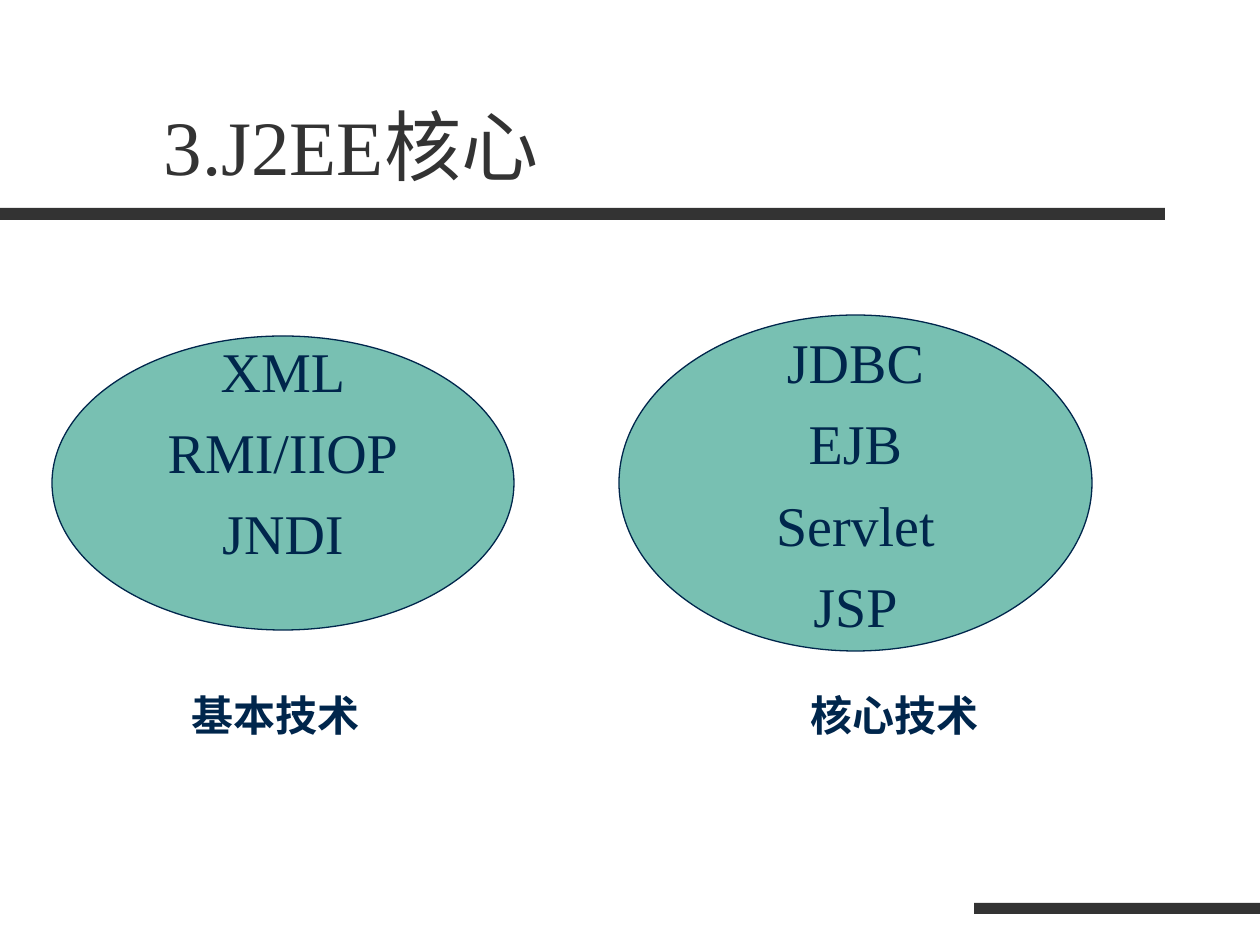
from pptx import Presentation
from pptx import util as u
from pptx.dml.color import RGBColor
from pptx.enum import shapes, text

TITLE = ("3.J2EE核心", (151, 39, 1071, 158))
BARS = [(0, 208, 1165, 12), (974, 903, 286, 11)]
GROUPS = [
    {
        "technologies": ["XML", "RMI/IIOP", "JNDI"],
        "oval": (52, 336, 462, 294),
        "bottom_inset": 70,
        "caption": "基本技术",
        "caption_box": (179, 683, 210, 63),
    },
    {
        "technologies": ["JDBC", "EJB", "Servlet", "JSP"],
        "oval": (619, 315, 473, 336),
        "bottom_inset": 6,
        "caption": "核心技术",
        "caption_box": (798, 683, 199, 63),
    },
]


class Theme:
    font = "Times New Roman"
    dark = RGBColor.from_string("333333")
    navy = RGBColor.from_string("00264C")
    teal = RGBColor.from_string("78C0B2")
    title_size, technology_size, caption_size = 44, 32, 24


def px(length):
    return u.Emu(round(length * 914400 / 126))


def box(lengths):
    return [px(length) for length in lengths]


def apply(target, formats):
    for name, value in formats.items():
        setattr(target, name, value)


def write(frame, lines, size, color, bold=False, **paragraph_format):
    for index, line in enumerate(lines):
        paragraph = frame.add_paragraph() if index else frame.paragraphs[0]
        apply(paragraph, paragraph_format)
        run = paragraph.add_run()
        run.text = line
        apply(run.font, {"name": Theme.font, "size": u.Pt(size), "bold": bold})
        run.font.color.rgb = color


def add_filled(slide, kind, area, fill, outline=None):
    shape = slide.shapes.add_shape(kind, *box(area))
    shape.shadow.inherit = False
    shape.fill.solid()
    shape.fill.fore_color.rgb = fill
    if outline is None:
        shape.line.fill.background()
    else:
        shape.line.color.rgb = outline
        shape.line.width = u.Pt(0.75)
    return shape


def add_title(slide):
    wording, area = TITLE
    title = slide.shapes.title
    apply(title, dict(zip(("left", "top", "width", "height"), box(area))))
    apply(title.text_frame, {
        "vertical_anchor": text.MSO_ANCHOR.BOTTOM,
        "auto_size": text.MSO_AUTO_SIZE.NONE,
    })
    write(title.text_frame, [wording], Theme.title_size, Theme.dark,
          alignment=text.PP_ALIGN.LEFT)


def add_group(slide, group):
    oval = add_filled(slide, shapes.MSO_SHAPE.OVAL, group["oval"], Theme.teal, Theme.navy)
    apply(oval.text_frame, {
        "word_wrap": False,
        "vertical_anchor": text.MSO_ANCHOR.MIDDLE,
        "margin_bottom": px(group["bottom_inset"]),
    })
    write(oval.text_frame, group["technologies"], Theme.technology_size, Theme.navy,
          alignment=text.PP_ALIGN.CENTER, space_before=u.Pt(8))

    caption = slide.shapes.add_textbox(*box(group["caption_box"]))
    apply(caption.text_frame, {
        "word_wrap": True,
        "auto_size": text.MSO_AUTO_SIZE.SHAPE_TO_FIT_TEXT,
    })
    write(caption.text_frame, [group["caption"]], Theme.caption_size, Theme.navy,
          bold=True, space_before=u.Pt(15))


def main():
    deck = Presentation()
    apply(deck, {"slide_width": px(1260), "slide_height": px(945)})
    slide = deck.slides.add_slide(deck.slide_layouts[5])
    for bar in BARS:
        add_filled(slide, shapes.MSO_SHAPE.RECTANGLE, bar, Theme.dark)
    add_title(slide)
    for group in GROUPS:
        add_group(slide, group)
    deck.save("out.pptx")


if __name__ == "__main__":
    main()
